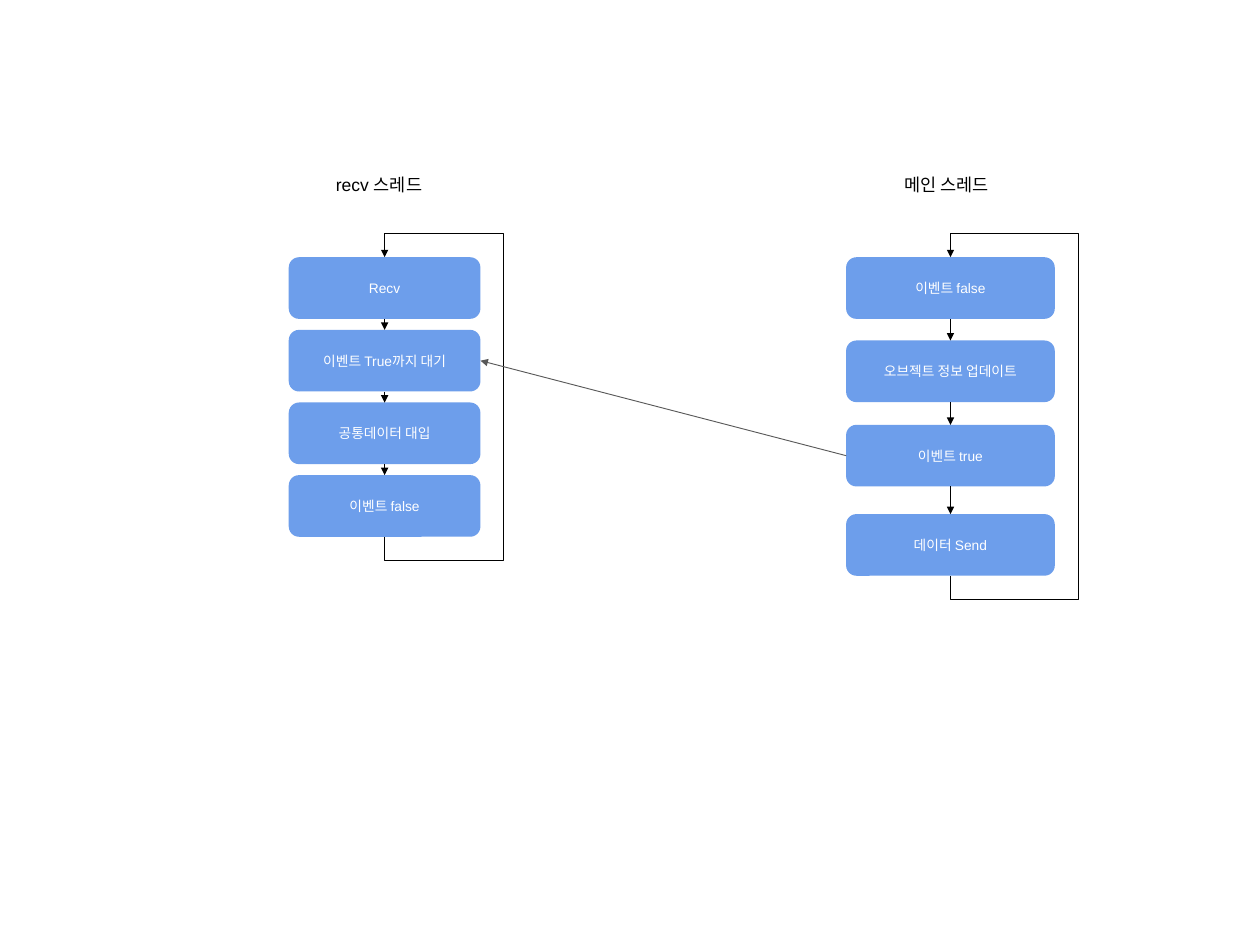
from itertools import pairwise

from lxml.etree import SubElement
from pptx import Presentation
from pptx.dml.color import RGBColor
from pptx.enum.shapes import MSO_CONNECTOR, MSO_SHAPE
from pptx.enum.text import MSO_ANCHOR, PP_ALIGN
from pptx.oxml.ns import qn
from pptx.util import Cm, Pt

TOP, LEFT, BOTTOM, RIGHT = range(4)


def color(value):
    return RGBColor.from_string(value)


class FlowSlide:
    font = "Arial"
    box_fill = "6D9EEB"
    box_height = 1.74
    loop_offset = 0.66
    line_width = Pt(0.75)

    def __init__(self, slide):
        self.slide = slide

    def style_text(self, shape, text, size, text_color, inset, anchor):
        frame = shape.text_frame
        frame.text = text
        frame.word_wrap = True
        frame.vertical_anchor = anchor
        frame.margin_left = frame.margin_right = Cm(inset)
        frame.margin_top = frame.margin_bottom = Cm(inset)
        paragraph = frame.paragraphs[0]
        paragraph.alignment = PP_ALIGN.CENTER
        for run in paragraph.runs:
            run.font.name = self.font
            run.font.size = Pt(size)
            run.font.color.rgb = color(text_color)

    def heading(self, text, left):
        shape = self.slide.shapes.add_textbox(Cm(left), Cm(4.67), Cm(4.78), Cm(1.12))
        self.style_text(shape, text, 14, "000000", 0.25, MSO_ANCHOR.TOP)

    def box(self, text, left, top, width):
        shape = self.slide.shapes.add_shape(
            MSO_SHAPE.ROUNDED_RECTANGLE, Cm(left), Cm(top), Cm(width), Cm(self.box_height)
        )
        shape.shadow.inherit = False
        shape.fill.solid()
        shape.fill.fore_color.rgb = color(self.box_fill)
        shape.line.fill.background()
        self.style_text(shape, text, 11, "FFFFFF", 0.35, MSO_ANCHOR.MIDDLE)
        return shape

    def style_line(self, shape, line_color):
        shape.line.width = self.line_width
        shape.line.color.rgb = color(line_color)
        line = shape.element.spPr.get_or_add_ln()
        SubElement(line, qn("a:tailEnd"), type="triangle")

    def arrow(self, start, start_site, end, end_site, line_color="000000"):
        connector = self.slide.shapes.add_connector(MSO_CONNECTOR.STRAIGHT, 0, 0, 0, 0)
        connector.begin_connect(start, start_site)
        connector.end_connect(end, end_site)
        self.style_line(connector, line_color)
        SubElement(connector.element.spPr, qn("a:effectLst"))

    def loop(self, last, first, right):
        center = first.left + first.width // 2
        bottom = last.top + last.height
        offset = Cm(self.loop_offset)
        builder = self.slide.shapes.build_freeform(center, bottom)
        builder.add_line_segments(
            [
                (center, bottom + offset),
                (Cm(right), bottom + offset),
                (Cm(right), first.top - offset),
                (center, first.top - offset),
                (center, first.top),
            ],
            close=False,
        )
        shape = builder.convert_to_shape()
        shape.fill.background()
        self.style_line(shape, "000000")
        shape.shadow.inherit = False

    def thread(self, title, title_left, left, width, loop_right, steps):
        self.heading(title, title_left)
        boxes = [self.box(text, left, top, width) for text, top in steps]
        for upper, lower in pairwise(boxes):
            self.arrow(upper, BOTTOM, lower, TOP)
        self.loop(boxes[-1], boxes[0], loop_right)
        return boxes


def main():
    presentation = Presentation()
    presentation.slide_width = Cm(35.56)
    presentation.slide_height = Cm(26.67)
    flow = FlowSlide(presentation.slides.add_slide(presentation.slide_layouts[6]))

    receive_texts = ["Recv", "이벤트 True까지 대기", "공통데이터 대입", "이벤트 false"]
    receive_steps = [(text, 7.26 + 2.05 * row) for row, text in enumerate(receive_texts)]
    main_steps = [
        ("이벤트 false", 7.26),
        ("오브젝트 정보 업데이트", 9.61),
        ("이벤트 true", 11.99),
        ("데이터 Send", 14.51),
    ]
    receive_boxes = flow.thread("recv 스레드", 8.31, 8.15, 5.41, 14.2, receive_steps)
    main_boxes = flow.thread("메인 스레드", 24.33, 23.88, 5.89, 30.43, main_steps)
    flow.arrow(main_boxes[2], LEFT, receive_boxes[1], RIGHT, "595959")

    presentation.save("out.pptx")


if __name__ == "__main__":
    main()
